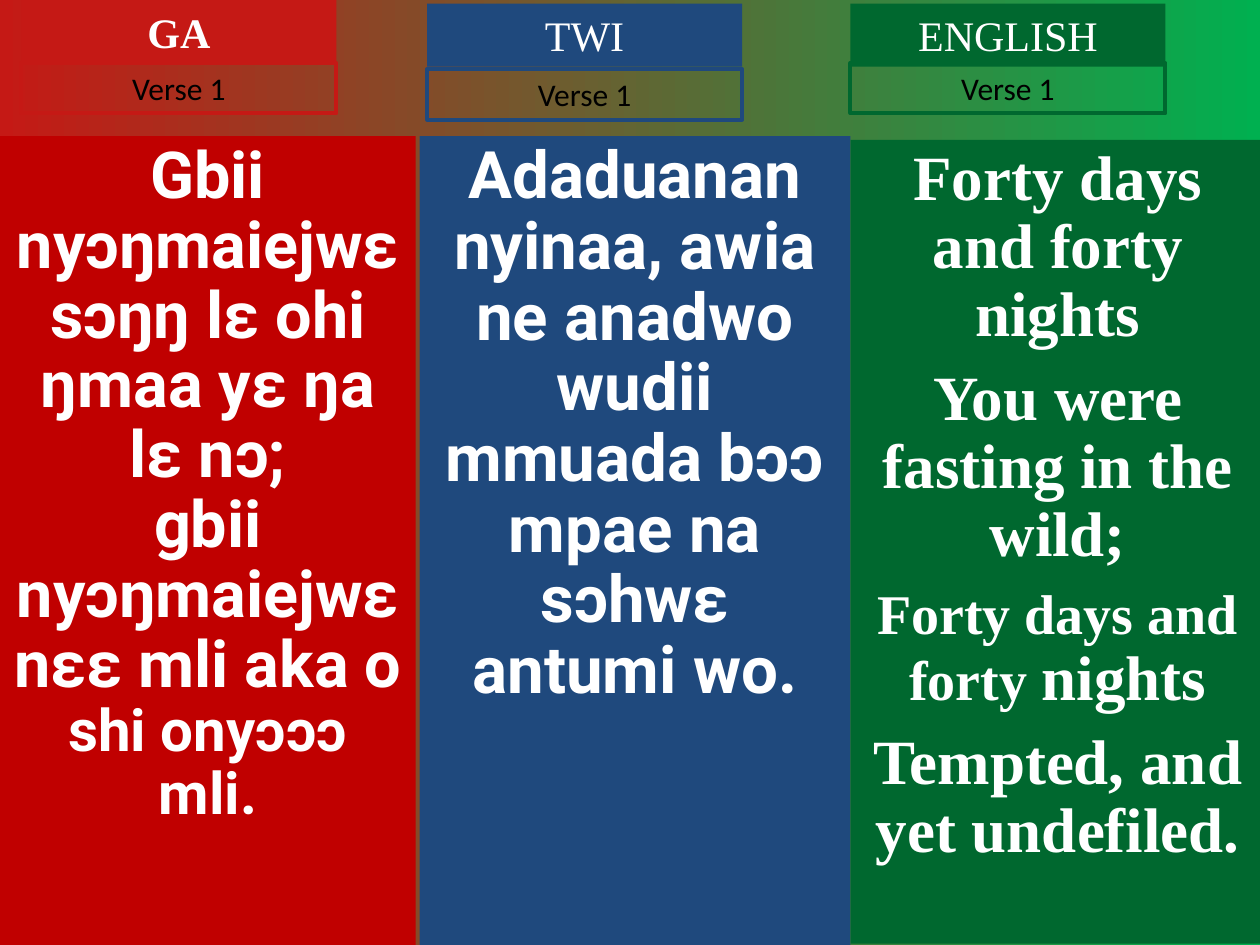
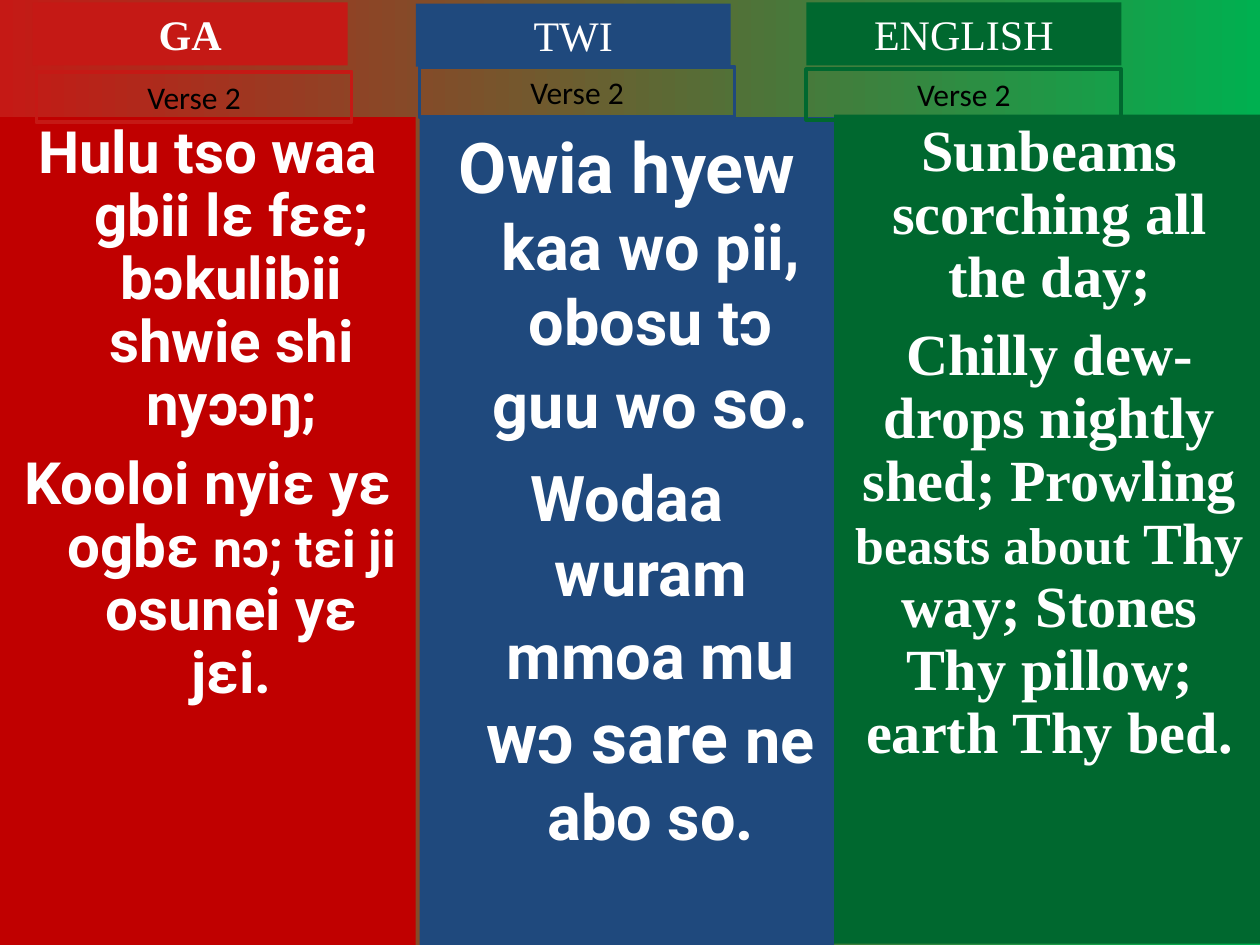
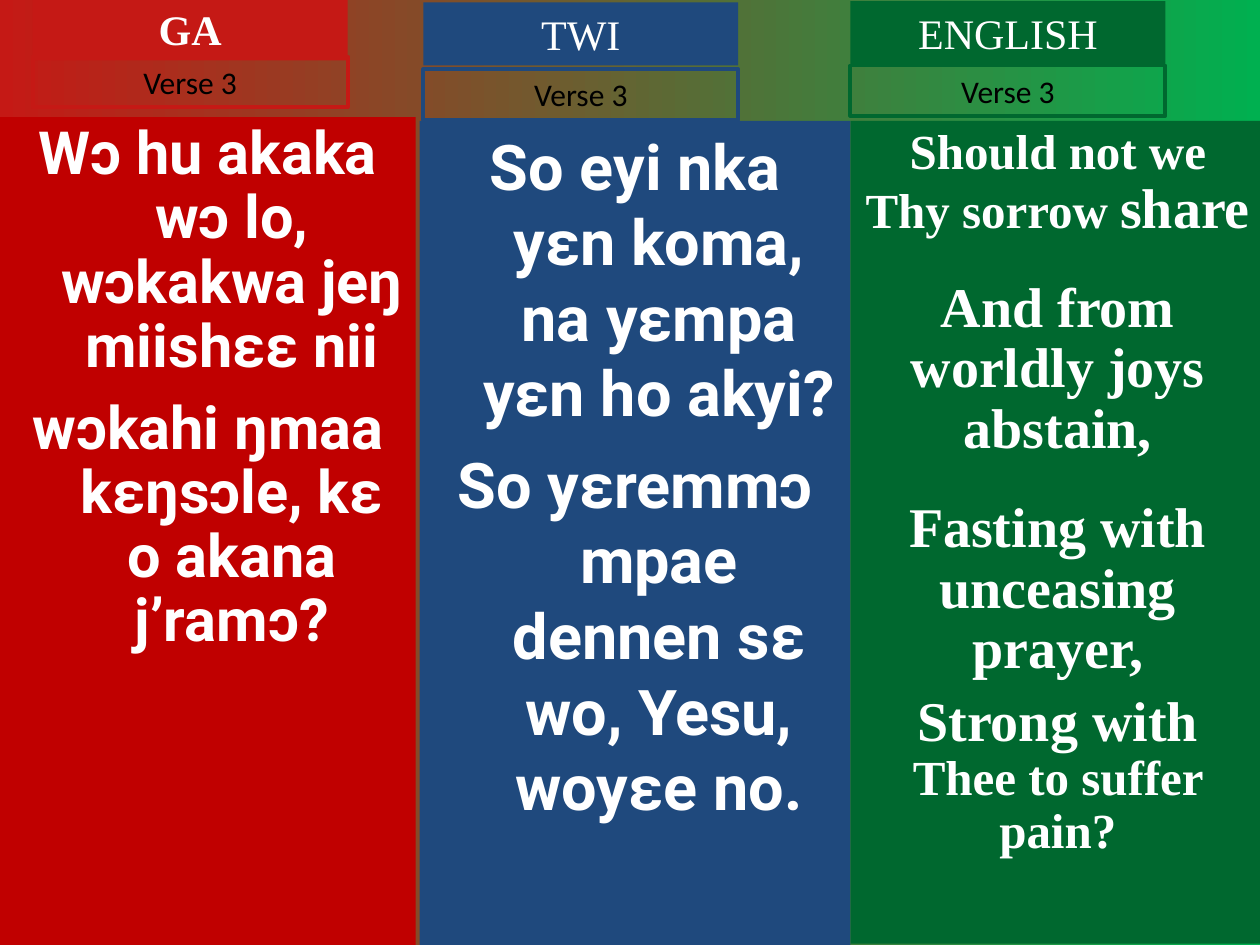
from dataclasses import dataclass

from pptx import Presentation
from pptx.dml.color import RGBColor
from pptx.enum.shapes import MSO_SHAPE as SHAPE
from pptx.enum.text import MSO_ANCHOR as ANCHOR, PP_ALIGN as ALIGN
from pptx.util import Inches, Pt

WHITE, BLACK = "FFFFFF", "000000"
SLIDE_W, SLIDE_H = 10, 7.5
BACKGROUND = ("C51915", "00B050")
HEADER_W, HEADER_H, VERSE_H = 2.5, 0.5, 0.4
HANG = 0.38


@dataclass(frozen=True)
class Language:
    name: str
    accent: str
    panel: str
    font: str
    bottom: float = SLIDE_H
    bold_name: bool = False


@dataclass(frozen=True)
class Para:
    runs: tuple[tuple[str, float], ...]
    before: float = 0


@dataclass(frozen=True)
class Column:
    """Panel, header and verse label of one language; places in inches."""
    language: Language
    panel: tuple[float, float, float]  # left, top, width
    header: tuple[float, float]  # left, top
    verse: tuple[float, float]
    paras: tuple[Para, ...]
    spacing: float = 0.9
    hanging: bool = False


GA = Language("GA", "C51915", "C00000", "Roboto", bold_name=True)
TWI = Language("TWI", "1F497D", "1F497D", "Roboto")
ENGLISH = Language("ENGLISH", "00682F", "00682F", "Times New Roman", bottom=7.49)

VERSES = (
    (
        Column(GA, (0, 1.08, 3.3), (0.17, 0), (0.17, 0.5), (
            Para((("Gbii nyɔŋmaiejwɛ sɔŋŋ lɛ ohi ŋmaa yɛ ŋa lɛ nɔ;", 37),)),
            Para((("gbii nyɔŋmaiejwɛ nɛɛ mli aka o ", 37), ("shi onyɔɔɔ mli.", 33.3))),
        )),
        Column(TWI, (3.33, 1.08, 3.42), (3.39, 0.03), (3.39, 0.55), (
            Para((("Adaduanan nyinaa, awia ne anadwo", 37.4),)),
            Para((("wudii mmuada bɔɔ mpae na sɔhwɛ antumi wo.", 37.4),)),
        )),
        Column(ENGLISH, (6.75, 1.11, 3.29), (6.75, 0.03), (6.75, 0.5), (
            Para((("Forty days and forty nights", 36),)),
            Para((("You were fasting in the wild;", 36),), 9),
            Para((("Forty days and forty ", 32), ("nights", 36)), 9),
            Para((("Tempted, and yet undefiled.", 36),), 9),
        )),
    ),
    (
        Column(GA, (0, 0.93, 3.3), (0.26, 0.02), (0.29, 0.57), (
            Para((("Hulu tso waa gbii lɛ fɛɛ; bɔkulibii shwie shi nyɔɔŋ;", 33.3),)),
            Para((("Kooloi nyiɛ yɛ ogbɛ ", 33.3), ("nɔ; tɛi ji ", 29.6),
                  ("osunei yɛ jɛi.", 33.3)), 9),
        ), hanging=True),
        Column(TWI, (3.33, 0.93, 3.29), (3.3, 0.03), (3.33, 0.53), (
            Para((("Owia hyew ", 40), ("kaa wo pii, obosu tɔ guu wo ", 36), ("so.", 40))),
            Para((("Wodaa wuram mmoa m", 36), ("u wɔ sare ", 40), ("ne abo so.", 36)), 9),
        ), spacing=1.0, hanging=True),
        Column(ENGLISH, (6.62, 0.91, 3.42), (6.4, 0.02), (6.4, 0.55), (
            Para((("Sunbeams scorching all the day;", 33.3),)),
            Para((("Chilly dew-drops nightly shed; Prowling ", 33.3), ("beasts about ", 29.6),
                  ("Thy way; Stones Thy pillow; earth Thy bed.", 33.3)), 9),
        )),
    ),
    (
        Column(GA, (0, 0.93, 3.3), (0.26, -0.02), (0.26, 0.45), (
            Para((("Wɔ hu akaka wɔ lo, wɔkakwa jeŋ miishɛɛ nii", 34),)),
            Para((("wɔkahi ŋmaa kɛŋsɔle, kɛ o akana j’ramɔ?", 34),), 10),
        ), hanging=True),
        Column(TWI, (3.33, 0.96, 3.42), (3.36, 0.02), (3.36, 0.55), (
            Para((("So eyi nka yɛn koma, na yɛmpa yɛn ho akyi?", 36),)),
            Para((("So yɛremmɔ mpae dennen sɛ wo, Yesu, woyɛe no.", 36),), 9),
        ), spacing=1.0, hanging=True),
        Column(ENGLISH, (6.75, 0.96, 3.29), (6.75, 0.01), (6.75, 0.52), (
            Para((("Should not we Thy sorrow ", 28), ("share", 32))),
            Para((("And from worldly joys abstain,", 32),), 22),
            Para((("Fasting with unceasing prayer,", 32),), 22),
            Para((("Strong with ", 32), ("Thee to suffer pain?", 28)), 7),
        )),
    ),
)


def rgb(color: str) -> RGBColor:
    return RGBColor.from_string(color)


def set_attrs(target, values: dict) -> None:
    for name, value in values.items():
        setattr(target, name, value)


def add_box(slide, left: float, top: float, width: float, height: float,
            fill: str | None = None, line: str | None = None):
    """Add a rectangle and return its text frame."""
    sp = slide.shapes.add_shape(
        SHAPE.RECTANGLE, Inches(left), Inches(top), Inches(width), Inches(height))
    sp.shadow.inherit = False
    if fill:
        sp.fill.solid()
        sp.fill.fore_color.rgb = rgb(fill)
    else:
        sp.fill.background()
    if line:
        sp.line.color.rgb = rgb(line)
        sp.line.width = Pt(2.25)
    else:
        sp.line.fill.background()
    tf = sp.text_frame
    set_attrs(tf, {"word_wrap": True, "vertical_anchor": ANCHOR.TOP})
    return tf


def write(tf, paras: tuple[Para, ...], font: str, color: str, bold: bool,
          spacing: float = 1.0, hanging: bool = False) -> None:
    for i, para in enumerate(paras):
        p = tf.add_paragraph() if i else tf.paragraphs[0]
        set_attrs(p, {"alignment": ALIGN.CENTER, "line_spacing": spacing,
                      "space_before": Pt(para.before)})
        if hanging:
            pPr = p._p.get_or_add_pPr()
            pPr.set("marL", str(Inches(HANG)))
            pPr.set("indent", str(-Inches(HANG)))
        for text, size in para.runs:
            r = p.add_run()
            r.text = text
            set_attrs(r.font, {"name": font, "size": Pt(size), "bold": bold})
            r.font.color.rgb = rgb(color)


def add_panel(slide, col: Column) -> None:
    lang = col.language
    left, top, width = col.panel
    tf = add_box(slide, left, top, width, lang.bottom - top, fill=lang.panel)
    write(tf, col.paras, lang.font, WHITE, True, col.spacing, col.hanging)


def add_heading(slide, col: Column, number: int) -> None:
    lang = col.language
    tf = add_box(slide, *col.header, HEADER_W, HEADER_H, fill=lang.accent)
    write(tf, (Para(((lang.name, 24),)),), "Times New Roman", WHITE, lang.bold_name)
    tf = add_box(slide, *col.verse, HEADER_W, VERSE_H, line=lang.accent)
    write(tf, (Para(((f"Verse {number}", 18),)),), "Calibri", BLACK, False)


def add_verse(prs, number: int, columns: tuple[Column, ...]) -> None:
    slide = prs.slides.add_slide(prs.slide_layouts[6])
    # Left-to-right background gradient
    fill = slide.background.fill
    fill.gradient()
    fill.gradient_angle = 0
    for stop, color in zip(fill.gradient_stops, BACKGROUND):
        stop.color.rgb = rgb(color)
    # Headings lie over the panels
    for col in columns:
        add_panel(slide, col)
    for col in columns:
        add_heading(slide, col, number)


def main() -> None:
    prs = Presentation()
    set_attrs(prs, {"slide_width": Inches(SLIDE_W), "slide_height": Inches(SLIDE_H)})
    for number, columns in enumerate(VERSES, 1):
        add_verse(prs, number, columns)
    prs.save("out.pptx")


if __name__ == "__main__":
    main()
